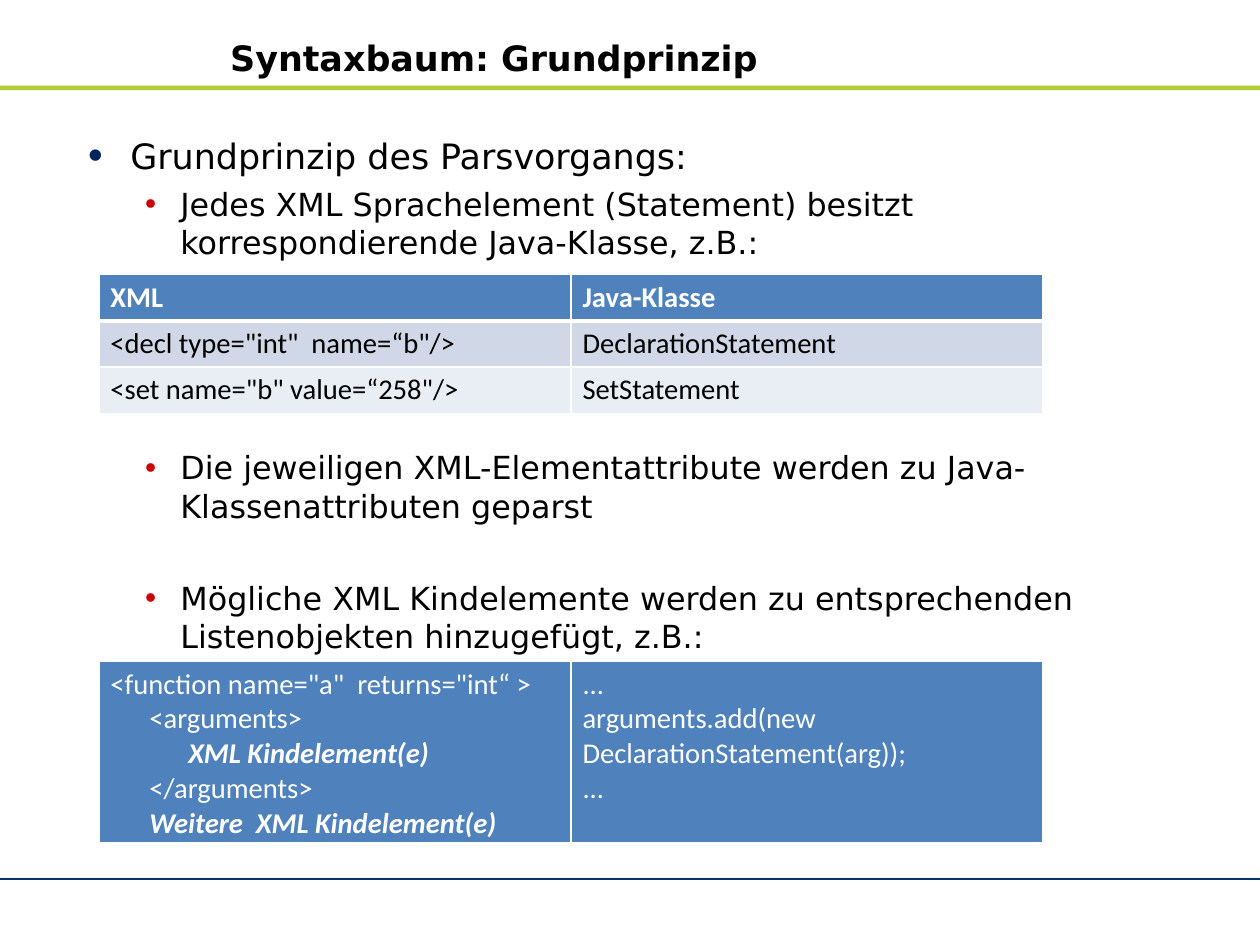
from dataclasses import dataclass

import pptx
import pptx.dml.color
import pptx.enum.shapes
import pptx.enum.text
import pptx.oxml
import pptx.oxml.ns
import pptx.util

Pt = pptx.util.Pt

COLORS = {
    "text": "000000",
    "white": "FFFFFF",
    "band": "B2CC33",
    "footer": "003366",
    "topic_bullet": "00245B",
    "point_bullet": "CC0000",
    "header": "4F81BD",
    "odd_row": "D0D8E8",
    "even_row": "E9EDF4",
}
HEADING_FONT, TABLE_FONT = "DejaVu Sans", "Calibri"
SLIDE_WIDTH, SLIDE_HEIGHT = 793.75, 595.25
TABLE_LEFT, COLUMN_WIDTH = 62.4, 297.4


@dataclass
class Point:
    text: str
    size: float
    margin: float
    hanging: float
    space_before: float
    line_height: float
    bullet: str
    bullet_percent: int = 100


@dataclass
class Line:
    text: str
    indent: float = 0
    bold: bool = False
    italic: bool = False


@dataclass
class Row:
    cells: list[list[Line]]
    fill: str
    ink: str = "text"


def rgb(name: str) -> pptx.dml.color.RGBColor:
    return pptx.dml.color.RGBColor.from_string(COLORS[name])


def set_font(paragraph, name: str, size: float, color: str,
             bold: bool = False, italic: bool = False) -> None:
    font = paragraph.font
    font.name, font.size = name, Pt(size)
    font.bold, font.italic = bold, italic
    font.color.rgb = rgb(color)


def add_xml(parent, xml: str) -> None:
    head, tail = xml.split(" ", 1)
    namespace = pptx.oxml.ns.nsdecls("a")
    parent.append(pptx.oxml.parse_xml(f"{head} {namespace} {tail}"))


def clear_margins(frame) -> None:
    frame.margin_left = frame.margin_right = Pt(0)
    frame.margin_top = frame.margin_bottom = Pt(0)
    frame.word_wrap = True


def write_point(paragraph, point: Point) -> None:
    paragraph.text = point.text
    paragraph.space_before = Pt(point.space_before)
    paragraph.line_spacing = Pt(point.line_height)
    properties = paragraph._p.get_or_add_pPr()
    properties.set("marL", str(Pt(point.margin)))
    properties.set("indent", str(Pt(-point.hanging)))
    add_xml(properties, f'<a:buClr ><a:srgbClr val="{COLORS[point.bullet]}"/></a:buClr>')
    add_xml(properties, f'<a:buSzPct val="{point.bullet_percent * 1000}"/>')
    add_xml(properties, '<a:buFont typeface="Arial"/>')
    add_xml(properties, '<a:buChar char="•"/>')
    set_font(paragraph, HEADING_FONT, point.size, "text")


def add_borders(cell, top: float, bottom: float) -> None:
    properties = cell._tc.get_or_add_tcPr()
    for side, width in (("L", 1), ("R", 1), ("T", top), ("B", bottom)):
        add_xml(properties, f'<a:ln{side} w="{Pt(width)}"><a:solidFill>'
                            f'<a:srgbClr val="{COLORS["white"]}"/></a:solidFill></a:ln{side}>')


def add_code_table(slide, top: float, row_height: float, rows: list[Row]) -> None:
    columns = len(rows[0].cells)
    table = slide.shapes.add_table(
        len(rows), columns, Pt(TABLE_LEFT), Pt(top),
        Pt(COLUMN_WIDTH * columns), Pt(row_height * len(rows))).table
    table.horz_banding = False
    for row_index, row in enumerate(rows):
        for column_index, lines in enumerate(row.cells):
            cell = table.cell(row_index, column_index)
            # The header is set off by a thicker rule below it
            add_borders(cell, 3 if row_index == 1 else 1, 3 if row_index == 0 else 1)
            cell.fill.solid()
            cell.fill.fore_color.rgb = rgb(row.fill)
            frame = cell.text_frame
            for line_index, line in enumerate(lines):
                paragraph = frame.add_paragraph() if line_index else frame.paragraphs[0]
                paragraph.text = line.text
                if line.indent:
                    paragraph._p.get_or_add_pPr().set("marL", str(Pt(line.indent)))
                set_font(paragraph, TABLE_FONT, 18, row.ink, line.bold, line.italic)


POINTS = [
    Point("Grundprinzip des Parsvorgangs:", 22, 26.7, 26.7, 5.5, 26.5, "topic_bullet", 120),
    Point("Jedes XML Sprachelement (Statement) besitzt korrespondierende Java-Klasse, z.B.:",
          20, 58.2, 22.2, 5.4, 24, "point_bullet"),
    Point("Die jeweiligen XML-Elementattribute werden zu Java-Klassenattributen geparst",
          20, 58.2, 22.2, 118, 24, "point_bullet"),
    Point("Mögliche XML Kindelemente werden zu entsprechenden Listenobjekten hinzugefügt, z.B.:",
          20, 58.2, 22.2, 34, 24, "point_bullet"),
]
STATEMENT_ROWS = [
    Row([[Line("XML", bold=True)], [Line("Java-Klasse", bold=True)]], "header", "white"),
    Row([[Line('<decl type="int"  name=“b"/>')], [Line("DeclarationStatement")]], "odd_row"),
    Row([[Line('<set name="b" value=“258"/>')], [Line("SetStatement")]], "even_row"),
]
CHILD_ROWS = [
    Row([
        [
            Line('<function name="a"  returns="int“ >'),
            Line("<arguments>", 24.5),
            Line("XML Kindelement(e)", 49, True, True),
            Line("</arguments>", 24.5),
            Line("Weitere  XML Kindelement(e)", 24.5, True, True),
        ],
        [Line("..."), Line("arguments.add(new DeclarationStatement(arg));"), Line("...")],
    ], "header", "white"),
]


def main() -> None:
    deck = pptx.Presentation()
    deck.slide_width, deck.slide_height = Pt(SLIDE_WIDTH), Pt(SLIDE_HEIGHT)
    slide = deck.slides.add_slide(deck.slide_layouts[5])

    # Green band under the title and thin footer rule
    band = slide.shapes.add_shape(
        pptx.enum.shapes.MSO_SHAPE.RECTANGLE, Pt(0), Pt(54), Pt(SLIDE_WIDTH), Pt(2.9))
    band.shadow.inherit = False
    band.fill.solid()
    band.fill.fore_color.rgb = rgb("band")
    band.line.fill.background()
    footer_rule = slide.shapes.add_connector(
        pptx.enum.shapes.MSO_CONNECTOR.STRAIGHT, Pt(0), Pt(553.7), Pt(SLIDE_WIDTH), Pt(553.7))
    footer_rule.line.color.rgb = rgb("footer")
    footer_rule.line.width = Pt(1)
    add_xml(footer_rule._element.spPr, "<a:effectLst />")

    # Title
    title = slide.shapes.title
    title.left, title.top, title.width, title.height = Pt(16), Pt(23), Pt(590.4), Pt(26.64)
    heading = title.text_frame
    clear_margins(heading)
    heading.vertical_anchor = pptx.enum.text.MSO_ANCHOR.MIDDLE
    heading.text = "Syntaxbaum: Grundprinzip"
    heading.paragraphs[0].alignment = pptx.enum.text.PP_ALIGN.CENTER
    set_font(heading.paragraphs[0], HEADING_FONT, 22, "text", bold=True)

    # Bulleted explanation
    explanation = slide.shapes.add_textbox(Pt(55.44), Pt(84.4), Pt(625), Pt(388.8)).text_frame
    clear_margins(explanation)
    for index, point in enumerate(POINTS):
        write_point(explanation.add_paragraph() if index else explanation.paragraphs[0], point)

    # Tables pairing XML with Java
    add_code_table(slide, 172.8, 29.2, STATEMENT_ROWS)
    add_code_table(slide, 416.4, 113.5, CHILD_ROWS)

    deck.save("out.pptx")


if __name__ == "__main__":
    main()
